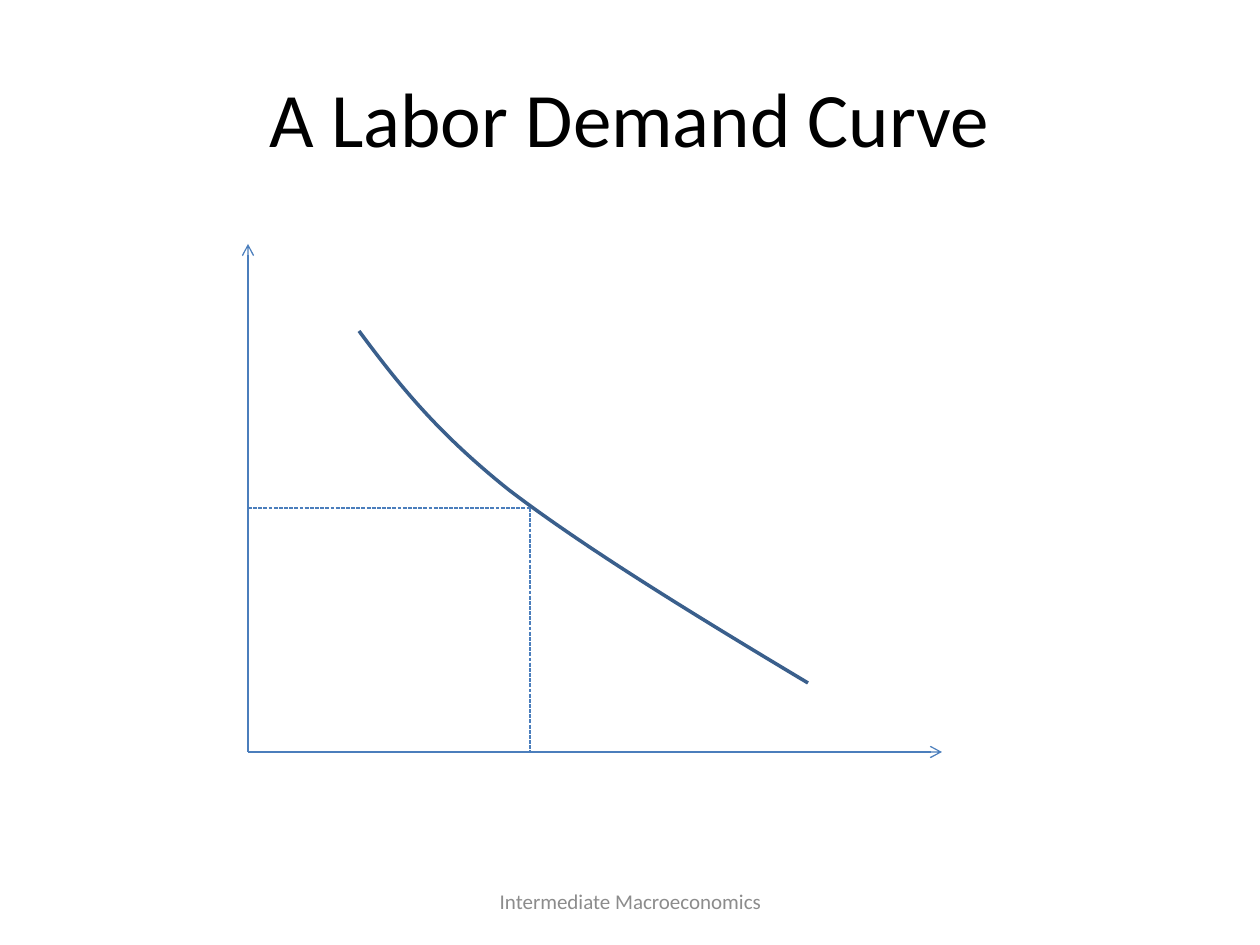
from lxml.etree import SubElement
from pptx import Presentation
from pptx.dml.color import RGBColor
from pptx.enum.dml import MSO_LINE
from pptx.enum.shapes import MSO_CONNECTOR
from pptx.enum.text import MSO_ANCHOR, PP_ALIGN
from pptx.oxml.ns import qn
from pptx.util import Emu, Pt

PX = 914400 / 126
BLACK = RGBColor(0x00, 0x00, 0x00)
GRAY = RGBColor(0x8C, 0x8C, 0x8C)
AXIS_BLUE = RGBColor(0x4B, 0x7E, 0xBC)
CURVE_BLUE = RGBColor(0x3A, 0x5F, 0x8C)

deck = Presentation()
deck.slide_width = Emu(round(1260 * PX))
deck.slide_height = Emu(round(945 * PX))
page = deck.slides.add_slide(deck.slide_layouts[6])


def add_text(text, *, left, top, width, height, size, color):
    box = page.shapes.add_textbox(*(round(n * PX) for n in (left, top, width, height)))
    frame = box.text_frame
    frame.word_wrap = True
    frame.vertical_anchor = MSO_ANCHOR.MIDDLE
    para = frame.paragraphs[0]
    para.alignment = PP_ALIGN.CENTER
    span = para.add_run()
    span.text = text
    span.font.name = "Calibri"
    span.font.size = Pt(size)
    span.font.color.rgb = color


def add_line(start, end, *, arrow=False, dash=None):
    line = page.shapes.add_connector(
        MSO_CONNECTOR.STRAIGHT, *(round(n * PX) for n in (*start, *end)))
    line.line.color.rgb = AXIS_BLUE
    line.line.width = Pt(0.75)
    if dash:
        line.line.dash_style = dash
    if arrow:
        SubElement(line.line._get_or_add_ln(), qn("a:tailEnd"), type="arrow")
    SubElement(line._element.spPr, qn("a:effectLst"))


# Title and footer
add_text("A Labor Demand Curve", left=63, top=38, width=1134, height=157,
         size=44, color=BLACK)
add_text("Intermediate Macroeconomics", left=431, top=876, width=399, height=50,
         size=12, color=GRAY)

# Axes
origin = (248, 752)
add_line(origin, (942, origin[1]), arrow=True)
add_line(origin, (origin[0], 244), arrow=True)

# Demand curve: a start point, then three control points for each Bézier piece
curve_points = [(359, 331), (397, 382), (435, 431), (509, 490),
                (585, 548), (696, 616), (808, 683)]
builder = page.shapes.build_freeform(*curve_points[0], scale=PX)
builder.add_line_segments(curve_points[1:], close=False)
curve = builder.convert_to_shape()
curve.shadow.inherit = False
curve.fill.background()
curve.line.color.rgb = CURVE_BLUE
curve.line.width = Pt(2)

# Regroup the straight segments into cubic pieces
outline = curve._element.spPr.find(".//" + qn("a:path"))
segments = outline.findall(qn("a:lnTo"))
for first in range(0, len(segments), 3):
    piece = SubElement(outline, qn("a:cubicBezTo"))
    for segment in segments[first:first + 3]:
        piece.append(segment[0])
        outline.remove(segment)

# Dashed guides to the chosen point on the curve
chosen = (530, 508)
add_line((origin[0], chosen[1]), chosen, dash=MSO_LINE.SQUARE_DOT)
add_line(chosen, (chosen[0], origin[1]), dash=MSO_LINE.SQUARE_DOT)

deck.save("out.pptx")
